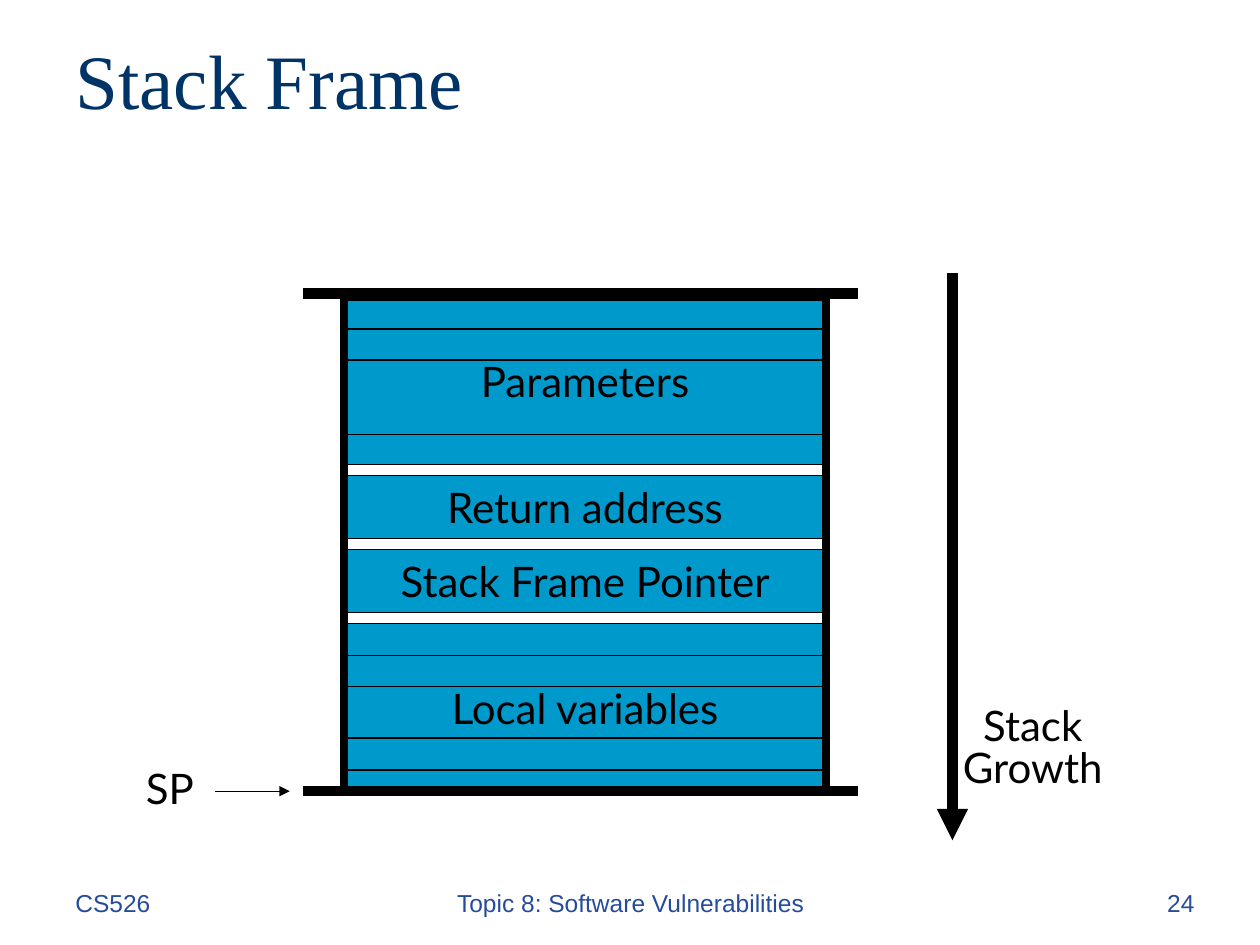
from lxml import etree
from pptx import Presentation
from pptx.dml.color import RGBColor
from pptx.enum.shapes import MSO_CONNECTOR, MSO_SHAPE
from pptx.enum.text import MSO_ANCHOR, MSO_AUTO_SIZE, PP_ALIGN
from pptx.oxml.ns import qn
from pptx.util import Cm, Pt

BLACK = RGBColor(0x00, 0x00, 0x00)
NAVY = RGBColor(0x00, 0x33, 0x66)
FOOTER_BLUE = RGBColor(0x25, 0x4C, 0x9C)
BLOCK_BLUE = RGBColor(0x00, 0x99, 0xCC)

LEFT, CENTER, RIGHT = PP_ALIGN.LEFT, PP_ALIGN.CENTER, PP_ALIGN.RIGHT
TOP, MIDDLE = MSO_ANCHOR.TOP, MSO_ANCHOR.MIDDLE
STRAIGHT, RECTANGLE = MSO_CONNECTOR.STRAIGHT, MSO_SHAPE.RECTANGLE

TITLE_FONT = {"name": "Times New Roman", "size": Pt(44)}
LABEL_FONT = {"name": "Lato", "size": Pt(24)}
FOOTER_FONT = {"name": "Arial", "size": Pt(14)}

# Stack geometry in centimetres
STACK_X, STACK_Y, STACK_W = 6.93, 5.99, 9.73
BLOCK_GAP = 0.22
BASE_LEFT, BASE_RIGHT = 6.1, 17.3

# Label, height, offsets of the inner dividers
BLOCKS = [
    ("Parameters", 3.38, (0.64, 1.27, 2.77)),
    ("Return address", 1.27, ()),
    ("Stack Frame Pointer", 1.27, ()),
    ("Local variables", 3.38, (0.64, 1.27, 2.31, 2.95)),
]

# Text, left, width, alignment
FOOTERS = [
    ("CS526", 1.27, 5.28, LEFT),
    ("Topic 8: Software Vulnerabilities", 8.69, 8.05, CENTER),
    ("24", 19.05, 5.28, RIGHT),
]


def write(tf, lines, font, color, align=CENTER, before=None, anchor=TOP, wrap=False):
    tf.word_wrap = wrap
    tf.vertical_anchor = anchor
    for i, line in enumerate(lines):
        p = tf.paragraphs[0] if i == 0 else tf.add_paragraph()
        p.alignment = align
        p.space_before = before
        r = p.add_run()
        r.text = line
        for name, value in font.items():
            setattr(r.font, name, value)
        r.font.color.rgb = color


def add_title(s, text):
    sp = s.shapes.title
    box = {"left": Cm(1.27), "top": Cm(0), "width": Cm(22.86), "height": Cm(3.18)}
    for name, value in box.items():
        setattr(sp, name, value)
    write(sp.text_frame, [text], TITLE_FONT, NAVY, LEFT, anchor=MIDDLE, wrap=True)


def add_footer(s, text, x, w, align):
    sp = s.shapes.add_textbox(Cm(x), Cm(17.78), Cm(w), Cm(1.27))
    write(sp.text_frame, [text], FOOTER_FONT, FOOTER_BLUE, align, Pt(8.8), wrap=True)


def add_label(s, lines, x, y, w, h):
    sp = s.shapes.add_textbox(Cm(x), Cm(y), Cm(w), Cm(h))
    tf = sp.text_frame
    write(tf, lines, LABEL_FONT, BLACK, before=Pt(15))
    tf.auto_size = MSO_AUTO_SIZE.SHAPE_TO_FIT_TEXT
    for p in tf.paragraphs[1:]:
        p.line_spacing = 0.2


def add_box(s, y, h, weight, fill=None):
    """Add a rectangle as wide as the stack, hollow when no fill is given."""
    sp = s.shapes.add_shape(RECTANGLE, Cm(STACK_X), Cm(y), Cm(STACK_W), Cm(h))
    sp.shadow.inherit = False
    if fill is None:
        sp.fill.background()
    else:
        sp.fill.solid()
        sp.fill.fore_color.rgb = fill
    sp.line.color.rgb = BLACK
    sp.line.width = Pt(weight)
    return sp


def add_line(s, x1, y1, x2, y2, weight=0.75, arrow=False):
    line = s.shapes.add_connector(STRAIGHT, Cm(x1), Cm(y1), Cm(x2), Cm(y2))
    line.line.color.rgb = BLACK
    line.line.width = Pt(weight)
    if arrow:
        etree.SubElement(line.line._get_or_add_ln(), qn("a:tailEnd"), type="triangle")
    etree.SubElement(line._element.spPr, qn("a:effectLst"))


def add_stack(s):
    """Draw the blocks, dividers, frame and end bars; return the bottom edge."""
    y = STACK_Y
    dividers = []
    for text, h, offsets in BLOCKS:
        sp = add_box(s, y, h, 0.75, BLOCK_BLUE)
        write(sp.text_frame, [text], LABEL_FONT, BLACK, before=Pt(15), anchor=MIDDLE)
        dividers += [y + offset for offset in offsets]
        y += h + BLOCK_GAP
    bottom = y - BLOCK_GAP
    for divider in dividers:
        add_line(s, STACK_X, divider, STACK_X + STACK_W, divider)
    add_box(s, STACK_Y, bottom - STACK_Y, 4.5)
    for bar in (bottom, 5.92):
        add_line(s, BASE_LEFT, bar, BASE_RIGHT, bar, 6)
    return bottom


def main():
    prs = Presentation()
    prs.slide_width, prs.slide_height = Cm(25.4), Cm(19.05)
    s = prs.slides.add_slide(prs.slide_layouts[5])

    add_title(s, "Stack Frame")
    for footer in FOOTERS:
        add_footer(s, *footer)

    bottom = add_stack(s)
    add_label(s, ["SP"], 2.69, 15.24, 1.47, 1.27)
    add_line(s, 4.34, bottom, 5.84, bottom, arrow=True)
    add_line(s, 19.2, 5.51, 19.2, 16.94, 6, arrow=True)
    add_label(s, ["Stack", "Growth"], 19.08, 13.97, 3.48, 2.01)

    prs.save("out.pptx")


if __name__ == "__main__":
    main()
